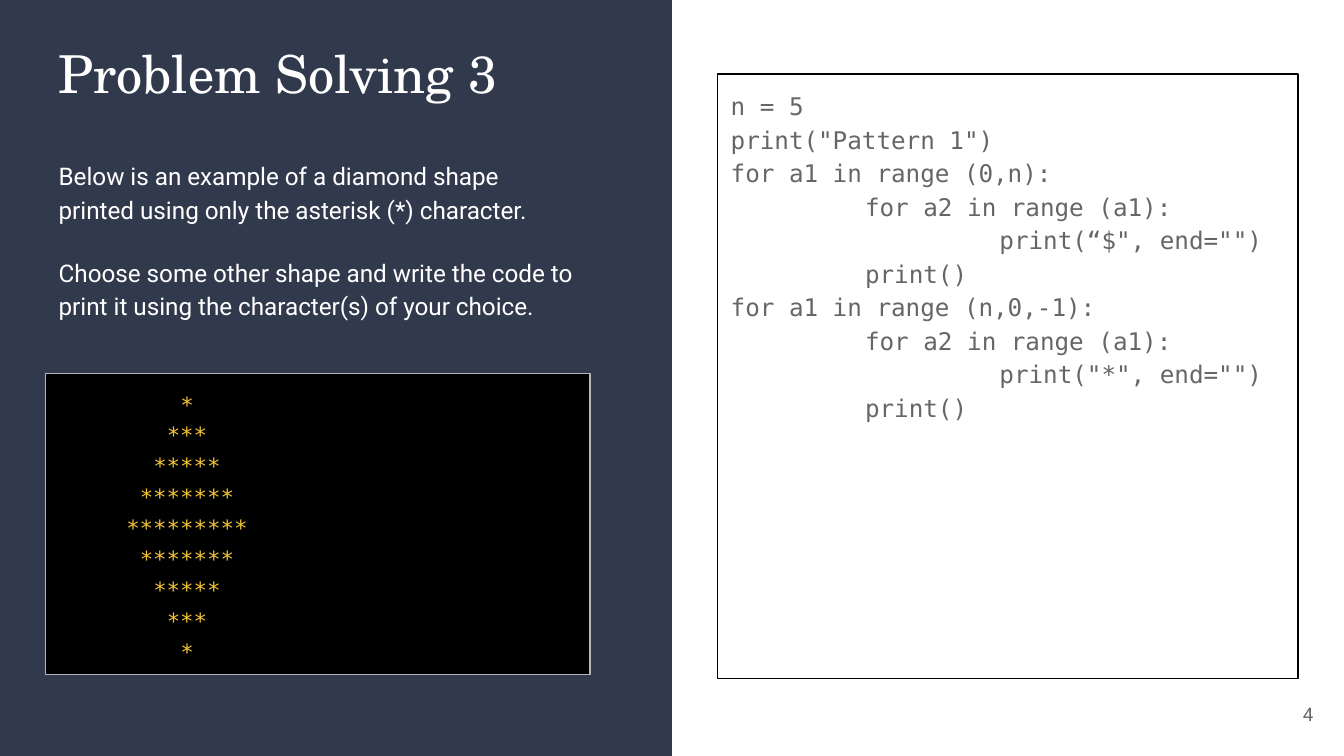
"""Build the Problem Solving 3 slide: a task, its sample output and starter code."""
from dataclasses import dataclass

from pptx import Presentation
from pptx import util as u
from pptx.dml.color import RGBColor
from pptx.enum import shapes, text

COLORS = {
    "panel": "31394D",
    "white": "FFFFFF",
    "gray": "666666",
    "black": "000000",
    "border": "B7B7B7",
    "gold": "F1C232",
}
MONO, SANS, SERIF = "DejaVu Sans Mono", "Roboto", "TeX Gyre Schola"
MARGIN, COLUMN = 0.86, 10.29
INSET, INDENT = 0.25, 2.54
DIAMOND_RIGHT_INSET = 5.19


@dataclass(frozen=True)
class Box:
    """A rectangle in centimetres with optional fill and border."""
    left: float
    top: float
    width: float
    height: float
    fill: str | None = None
    border: str | None = None


@dataclass(frozen=True)
class Style:
    """Formatting shared by all paragraphs of one text."""
    font: str
    size: float
    color: str
    align: text.PP_ALIGN = text.PP_ALIGN.LEFT
    spacing: float = 1.15
    gap: float = 0
    anchor: text.MSO_ANCHOR = text.MSO_ANCHOR.TOP
    right_inset: float = INSET


@dataclass(frozen=True)
class Line:
    """One paragraph and its indent level."""
    words: str
    level: int = 0


def rgb(name: str) -> RGBColor:
    """Look up a named colour."""
    return RGBColor.from_string(COLORS[name])


def place(shape, box: Box) -> None:
    """Move and size a shape."""
    shape.left, shape.top = u.Cm(box.left), u.Cm(box.top)
    shape.width, shape.height = u.Cm(box.width), u.Cm(box.height)


def draw_box(slide, box: Box):
    """Add a rectangle with the fill and border of the box."""
    shape = slide.shapes.add_shape(shapes.MSO_SHAPE.RECTANGLE, 0, 0, 0, 0)
    place(shape, box)
    shape.shadow.inherit = False
    if box.fill:
        shape.fill.solid()
        shape.fill.fore_color.rgb = rgb(box.fill)
    else:
        shape.fill.background()
    if box.border:
        shape.line.color.rgb = rgb(box.border)
        shape.line.width = u.Pt(0.75)
    else:
        shape.line.fill.background()
    return shape


def draw_text_box(slide, box: Box):
    """Add a plain text box."""
    shape = slide.shapes.add_textbox(0, 0, 0, 0)
    place(shape, box)
    return shape


def write(shape, lines: list[Line], style: Style) -> None:
    """Fill a shape with styled paragraphs."""
    frame = shape.text_frame
    frame.word_wrap = True
    frame.auto_size = text.MSO_AUTO_SIZE.NONE
    frame.vertical_anchor = style.anchor
    frame.margin_left = frame.margin_top = frame.margin_bottom = u.Cm(INSET)
    frame.margin_right = u.Cm(style.right_inset)
    for index, line in enumerate(lines):
        paragraph = frame.add_paragraph() if index else frame.paragraphs[0]
        paragraph.alignment = style.align
        paragraph.line_spacing = style.spacing
        paragraph.space_before = u.Pt(style.gap if index else 0)
        paragraph.space_after = u.Pt(0)
        if line.level:
            properties = paragraph._p.get_or_add_pPr()
            properties.set("marL", str(u.Cm(INDENT * line.level)))
        run = paragraph.add_run()
        run.text = line.words
        run.font.name = style.font
        run.font.size = u.Pt(style.size)
        run.font.bold = False
        run.font.color.rgb = rgb(style.color)


def main() -> None:
    """Assemble and save the slide."""
    presentation = Presentation()
    presentation.slide_width, presentation.slide_height = u.Cm(25.4), u.Cm(14.29)
    slide = presentation.slides.add_slide(presentation.slide_layouts[5])

    title = slide.shapes.title
    panel = draw_box(slide, Box(0, 0, 12.7, 14.29, fill="panel"))
    title.element.addprevious(panel.element)
    place(title, Box(MARGIN, 0.53, COLUMN, 5.69))
    write(title, [Line("Problem Solving 3")], Style(SERIF, 28, "white", spacing=1))

    number = draw_text_box(slide, Box(23.55, 12.95, 1.52, 1.09))
    write(number, [Line("4")], Style(
        SANS, 10, "gray", text.PP_ALIGN.RIGHT, 1, anchor=text.MSO_ANCHOR.MIDDLE))

    code = draw_box(slide, Box(13.56, 1.4, 10.97, 11.43, border="black"))
    write(code, [
        Line("n = 5"),
        Line('print("Pattern 1")'),
        Line("for a1 in range (0,n):"),
        Line("for a2 in range (a1):", 1),
        Line('print(“$", end="")', 2),
        Line("print()", 1),
        Line("for a1 in range (n,0,-1):"),
        Line("for a2 in range (a1):", 1),
        Line('print("*", end="")', 2),
        Line("print()", 1),
    ], Style(MONO, 13, "gray"))

    task = draw_text_box(slide, Box(MARGIN, 2.72, COLUMN, 3.61))
    write(task, [
        Line("Below is an example of a diamond shape printed using only "
             "the asterisk (*) character."),
        Line("Choose some other shape and write the code to print it using "
             "the character(s) of your choice."),
    ], Style(SANS, 13, "white", gap=16))

    output = draw_box(slide, Box(MARGIN, 7.06, COLUMN, 5.69, "black", "border"))
    diamond = [Line("*" * (9 - 2 * abs(row))) for row in range(-4, 5)]
    write(output, diamond, Style(
        MONO, 12, "gold", text.PP_ALIGN.CENTER, right_inset=DIAMOND_RIGHT_INSET))

    presentation.save("out.pptx")


if __name__ == "__main__":
    main()
